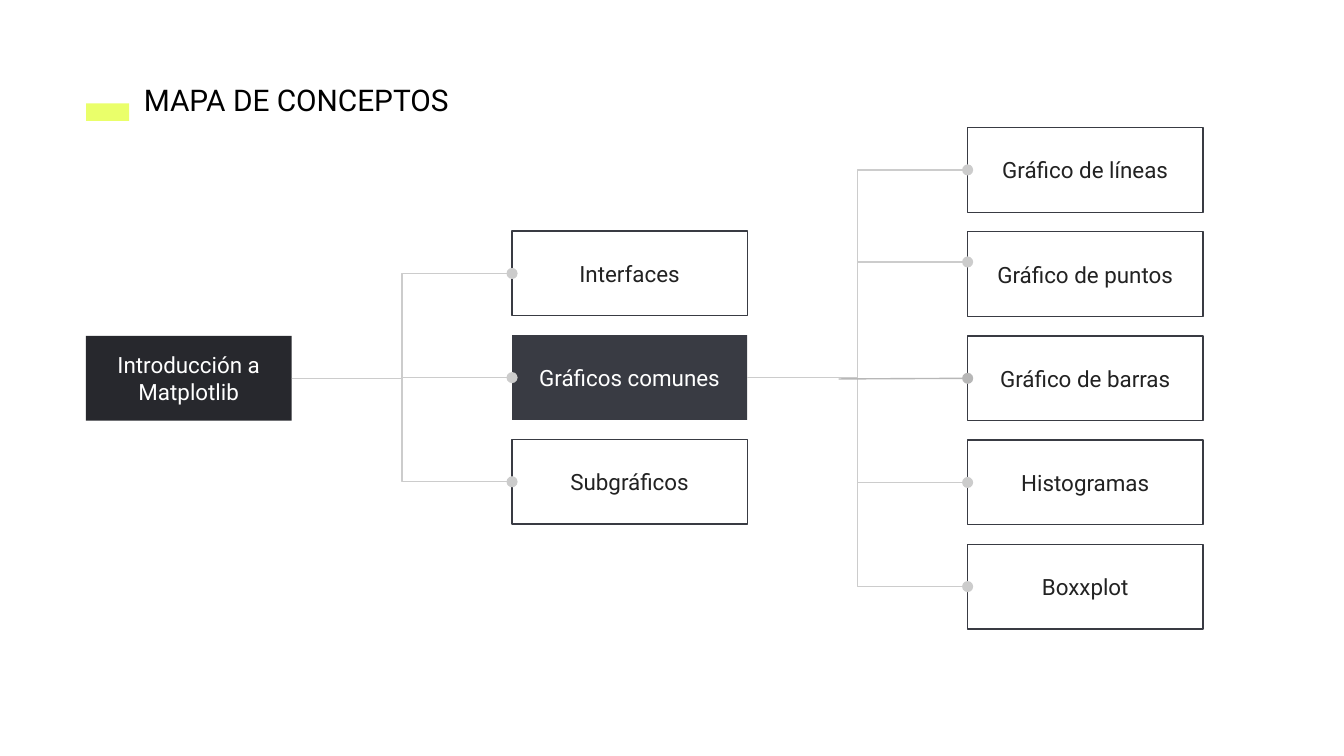
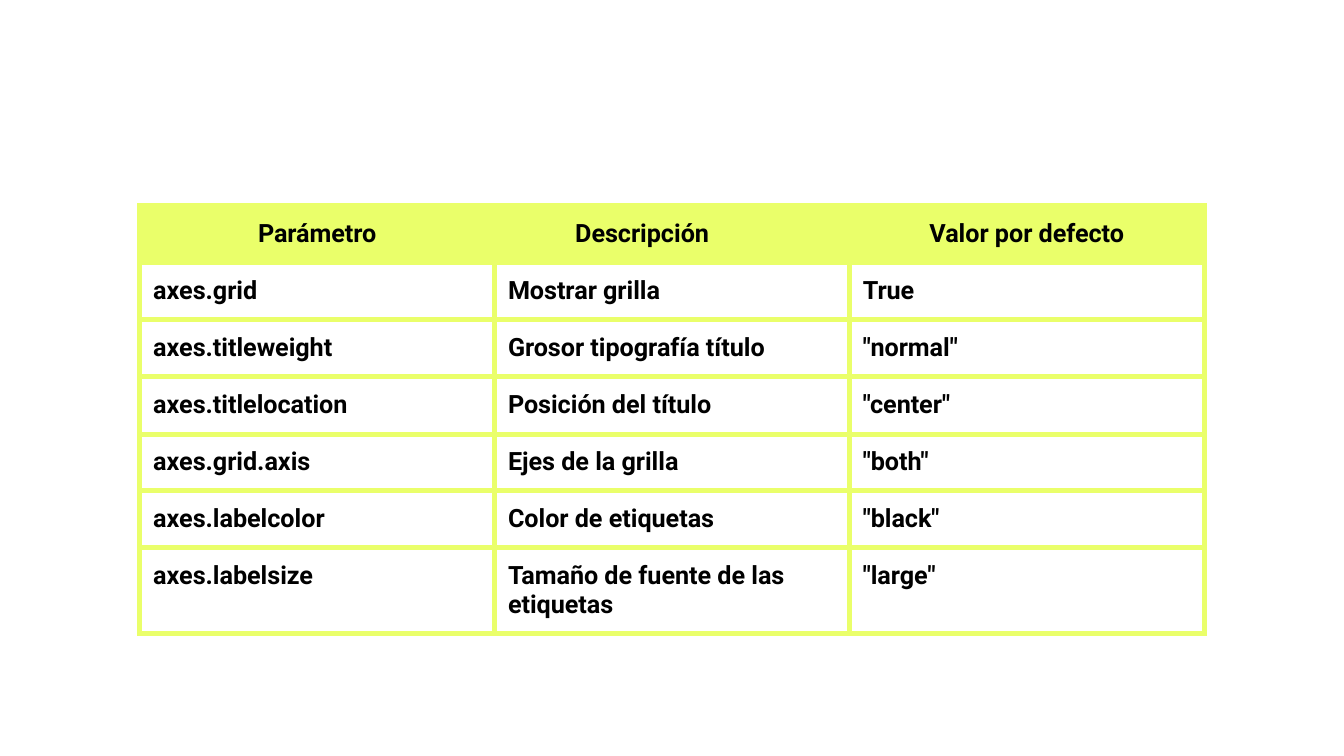
from dataclasses import dataclass

from lxml.etree import SubElement
from pptx import Presentation
from pptx.dml.color import RGBColor
from pptx.enum.shapes import MSO_CONNECTOR, MSO_SHAPE
from pptx.enum.text import MSO_ANCHOR, MSO_AUTO_SIZE, PP_ALIGN
from pptx.oxml import parse_xml
from pptx.oxml.ns import nsdecls, qn
from pptx.util import Inches, Pt


@dataclass(frozen=True)
class Theme:
    font: str = "Roboto"
    accent: str = "EAFF6A"
    black: str = "000000"
    ink: str = "222222"
    root: str = "27282D"
    slate: str = "393B43"
    white: str = "FFFFFF"
    link: str = "CCCCCC"
    stem: str = "B7B7B7"
    title_size: float = 16
    node_size: float = 12
    table_size: float = 13.5
    thin: float = 0.75
    grid: float = 3


THEME = Theme()
NODE_HEIGHT = 0.63
LEFT_SITE, RIGHT_SITE = 1, 3
TITLE_ONLY, BLANK = 5, 6

HEADER = ("Parámetro", "Descripción", "Valor por defecto")
BASIC_ROWS = [
    ("axes.grid", "Mostrar grilla", "True"),
    ("axes.titleweight", "Grosor tipografía título", '"normal"'),
    ("axes.titlelocation", "Posición del título", '"center"'),
]
LABEL_ROWS = [
    ("axes.grid.axis", "Ejes de la grilla", '"both"'),
    ("axes.labelcolor", "Color de etiquetas", '"black"'),
    ("axes.labelsize", "Tamaño de fuente de las etiquetas", '"large"'),
]


def rgb(color):
    return RGBColor.from_string(color)


def inches(*lengths):
    return [Inches(length) for length in lengths]


def write(frame, text, *, size, color, bold=False, align=PP_ALIGN.LEFT,
          anchor=MSO_ANCHOR.TOP, indent=0):
    frame.word_wrap = True
    frame.vertical_anchor = anchor
    frame.margin_left = frame.margin_right = Inches(0.1)
    frame.margin_top = frame.margin_bottom = Inches(0.1)
    paragraph = frame.paragraphs[0]
    paragraph.alignment = align
    if indent:
        properties = paragraph._p.get_or_add_pPr()
        properties.set("marL", str(Inches(indent)))
        properties.set("indent", "0")
    run = paragraph.add_run()
    run.text = text
    run.font.name = THEME.font
    run.font.size = Pt(size)
    run.font.bold = bold
    run.font.color.rgb = rgb(color)


def add_box(slide, box, fill=None, outline=None):
    shape = slide.shapes.add_shape(MSO_SHAPE.RECTANGLE, *inches(*box))
    shape.shadow.inherit = False
    if fill:
        shape.fill.solid()
        shape.fill.fore_color.rgb = rgb(fill)
    else:
        shape.fill.background()
    if outline:
        shape.line.color.rgb = rgb(outline)
        shape.line.width = Pt(THEME.thin)
    else:
        shape.line.fill.background()
    return shape


def add_heading(slide, text, box):
    """Place the title with its accent bar at the left of the box."""
    left, top, width, height = box
    add_box(slide, (left, top + 0.26, 0.32, 0.13), fill=THEME.accent)
    title = slide.shapes.title
    title.left, title.top, title.width, title.height = inches(
        left + 0.33, top, width - 0.33, height)
    write(title.text_frame, text, size=THEME.title_size, color=THEME.black)
    title.text_frame.auto_size = MSO_AUTO_SIZE.NONE


def add_level(slide, labels, box, fills):
    """Spread one column of concept nodes evenly over the box."""
    left, top, width, height = box
    pitch = (height - NODE_HEIGHT) / max(len(labels) - 1, 1)
    nodes = []
    for index, label in enumerate(labels):
        fill = fills.get(label)
        node = add_box(slide, (left, top + index * pitch, width, NODE_HEIGHT),
                       fill=fill, outline=None if fill else THEME.slate)
        write(node.text_frame, label, size=THEME.node_size,
              color=THEME.white if fill else THEME.ink,
              align=PP_ALIGN.CENTER, anchor=MSO_ANCHOR.MIDDLE)
        nodes.append(node)
    return nodes


def add_link(slide, kind, start, end, color, dot):
    """Draw a connector with a dot at its headEnd or tailEnd."""
    link = slide.shapes.add_connector(kind, *start, *end)
    link.line.color.rgb = rgb(color)
    link.line.width = Pt(THEME.thin)
    SubElement(link.line._get_or_add_ln(), qn(f"a:{dot}")).set("type", "oval")
    SubElement(link._element.spPr, qn("a:effectLst"))
    return link


def add_branches(slide, parent, children, raised=None):
    """Link a node to its children; the raised child is met above its middle."""
    start = (parent.left + parent.width, parent.top + parent.height // 2)
    for child in children:
        lift = Inches(0.09) if child is raised else 0
        end = (child.left, child.top + child.height // 2 - lift)
        link = add_link(slide, MSO_CONNECTOR.ELBOW, start, end, THEME.link, "tailEnd")
        link.begin_connect(parent, RIGHT_SITE)
        if not lift:
            link.end_connect(child, LEFT_SITE)


def build_concept_map(slide):
    add_heading(slide, "MAPA DE CONCEPTOS", (0.64, 0.51, 3.02, 0.47))
    fills = {"Introducción a Matplotlib": THEME.root, "Gráficos comunes": THEME.slate}
    [course] = add_level(slide, ["Introducción a Matplotlib"],
                         (0.64, 2.5, 1.53, NODE_HEIGHT), fills)
    topics = add_level(slide, ["Interfaces", "Gráficos comunes", "Subgráficos"],
                       (3.81, 1.72, 1.75, 2.18), fills)
    charts = add_level(
        slide,
        ["Gráfico de líneas", "Gráfico de puntos", "Gráfico de barras",
         "Histogramas", "Boxxplot"],
        (7.2, 0.95, 1.75, 3.73), fills)
    lines, scatter, bars, histogram, boxplot = charts
    add_branches(slide, course, topics)
    add_branches(slide, topics[1],
                 [lines, scatter, histogram, boxplot], raised=scatter)
    add_link(slide, MSO_CONNECTOR.STRAIGHT,
             (bars.left, bars.top + bars.height // 2), inches(6.24, 2.82),
             THEME.stem, "headEnd")


def set_borders(cell):
    properties = cell._tc.get_or_add_tcPr()
    for position, side in enumerate(("lnL", "lnR", "lnT", "lnB")):
        properties.insert(position, parse_xml(
            f'<a:{side} {nsdecls("a")} w="{Pt(THEME.grid)}"><a:solidFill>'
            f'<a:srgbClr val="{THEME.accent}"/></a:solidFill></a:{side}>'))


def fill_cell(cell, text, fill, **text_format):
    cell.fill.solid()
    cell.fill.fore_color.rgb = rgb(fill)
    set_borders(cell)
    write(cell.text_frame, text, size=THEME.table_size, color=THEME.black,
          bold=True, **text_format)
    cell.margin_left = cell.margin_right = Inches(0.1)
    cell.margin_top = cell.margin_bottom = Inches(0.1)


def add_parameters(slide, rows, box, header=None):
    """Fill the box with equal rows and columns of parameters."""
    grid_rows = ([header] if header else []) + rows
    table = slide.shapes.add_table(
        len(grid_rows), len(HEADER), *inches(*box)).table
    table.first_row = table.horz_banding = False
    centered = {"align": PP_ALIGN.CENTER}
    header_formats = (centered, {"indent": 0.5}, centered)
    for row, texts in enumerate(grid_rows):
        is_header = texts is header
        for column, text in enumerate(texts):
            fill_cell(table.cell(row, column), text,
                      THEME.accent if is_header else THEME.white,
                      **(header_formats[column] if is_header else {}))


def build_parameter_tables(slide):
    add_parameters(slide, BASIC_ROWS, (1.04, 1.53, 7.92, 1.7), header=HEADER)
    add_parameters(slide, LABEL_ROWS, (1.04, 3.23, 7.92, 1.27))


def main():
    deck = Presentation()
    deck.slide_width = Inches(10)
    deck.slide_height = deck.slide_width * 9 // 16
    for layout, build in ((TITLE_ONLY, build_concept_map),
                          (BLANK, build_parameter_tables)):
        build(deck.slides.add_slide(deck.slide_layouts[layout]))
    deck.save("out.pptx")


if __name__ == "__main__":
    main()
